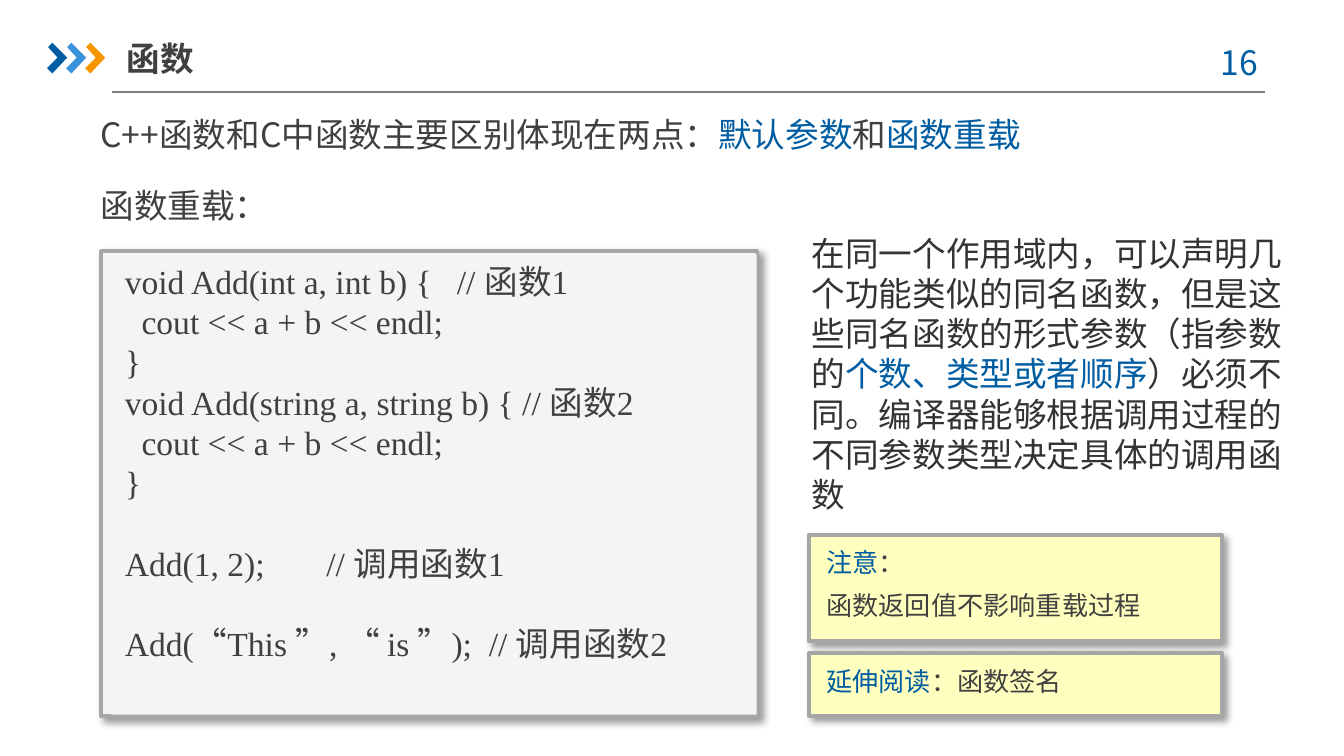
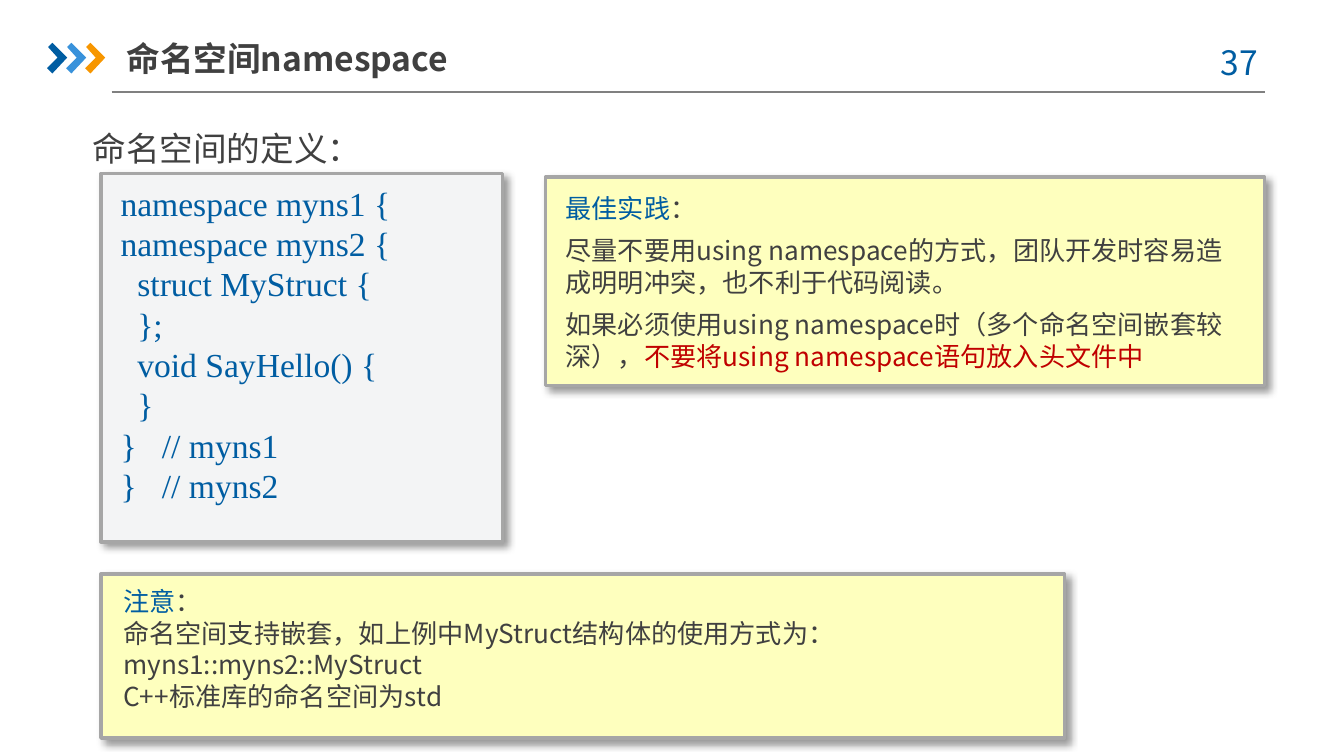
from lxml import etree
from pptx import Presentation
from pptx import util as u
from pptx.dml.color import RGBColor
from pptx.enum import shapes, text
from pptx.oxml import ns

BLUE = RGBColor(0x00, 0x5D, 0xA2)
SKY = RGBColor(0x39, 0x92, 0xDB)
ORANGE = RGBColor(0xF7, 0x96, 0x00)
RED = RGBColor(0xC0, 0x00, 0x00)
INK = RGBColor(0x40, 0x40, 0x40)
BODY = RGBColor(0x33, 0x33, 0x33)
RULE = RGBColor(0x80, 0x80, 0x80)
BORDER = RGBColor(0xA6, 0xA6, 0xA6)
CODE_FILL = RGBColor(0xF3, 0xF4, 0xF5)
NOTE_FILL = RGBColor(0xFE, 0xFF, 0xBE)

SANS = "Noto Sans CJK SC"
SERIF = "Times New Roman"
CHEVRON = [(0.02, 0.08), (0.1, 0), (0.38, 0.28), (0.1, 0.58), (0, 0.48), (0.2, 0.28)]
BLANK_LINE = 21.6

OVERLOAD_CODE = """void Add(int a, int b) {   // 函数1
  cout << a + b << endl;
}
void Add(string a, string b) { // 函数2
  cout << a + b << endl;
}

Add(1, 2);\t// 调用函数1

Add(“This ”, “ is ”);  // 调用函数2"""

NAMESPACE_CODE = """namespace myns1 {
namespace myns2 {
  struct MyStruct {
  };
  void SayHello() {
  }
}   // myns1
}   // myns2"""


def lengths(values):
    return [u.Cm(value) for value in values]


def add_effects(shape, shadow=False):
    effects = etree.SubElement(shape._element.spPr, ns.qn("a:effectLst"))
    if shadow:
        outer = etree.SubElement(effects, ns.qn("a:outerShdw"), blurRad=str(u.Pt(4)),
                                 dist=str(u.Pt(3)), dir="2700000", algn="tl", rotWithShape="0")
        tint = etree.SubElement(outer, ns.qn("a:srgbClr"), val="000000")
        etree.SubElement(tint, ns.qn("a:alpha"), val="40000")


def add_span(para, words, colour, size, font, bold):
    span = para.add_run()
    span.text = words
    span.font.size = u.Pt(size)
    span.font.name = font
    span.font.bold = bold
    span.font.color.rgb = colour
    east_asian = etree.SubElement(span._r.get_or_add_rPr(), ns.qn("a:ea"))
    east_asian.set("typeface", SANS)


def write(box, paragraphs, size=18, font=SANS, bold=False, after=0):
    frame = box.text_frame
    frame.word_wrap = True
    frame.vertical_anchor = text.MSO_ANCHOR.TOP
    for index, spans in enumerate(paragraphs):
        para = frame.paragraphs[0] if index == 0 else frame.add_paragraph()
        para.alignment = text.PP_ALIGN.LEFT
        para.space_after = u.Pt(after)
        for words, colour in spans:
            add_span(para, words, colour, size, font, bold)
    return frame


def add_text(page, place, spans, bold=False):
    box = page.shapes.add_textbox(*lengths(place))
    return write(box, [spans], bold=bold)


def add_rectangle(parent, place, fill):
    box = parent.shapes.add_shape(shapes.MSO_SHAPE.RECTANGLE, *lengths(place))
    box.fill.solid()
    box.fill.fore_color.rgb = fill
    return box


def add_panel(page, outer, inner, fill):
    group = page.shapes.add_group_shape()
    border = add_rectangle(group, outer, fill)
    border.line.color.rgb = BORDER
    border.line.width = u.Pt(2)
    add_effects(border, shadow=True)
    box = add_rectangle(group, inner, fill)
    box.line.fill.background()
    box.shadow.inherit = False
    return box


def add_code(page, outer, inner, code, colour):
    box = add_panel(page, outer, inner, CODE_FILL)
    lines = code.split("\n")
    frame = write(box, [[(line, colour)] for line in lines if line], font=SERIF)
    starts = [index for index, line in enumerate(lines) if line]
    for para, index in zip(frame.paragraphs, starts):
        if index and not lines[index - 1]:
            para.space_before = u.Pt(BLANK_LINE)


def add_note(page, outer, inner, paragraphs, after=6):
    box = add_panel(page, outer, inner, NOTE_FILL)
    write(box, paragraphs, size=14, after=after)


def add_chevrons(page):
    group = page.shapes.add_group_shape()
    for index, colour in enumerate((BLUE, SKY, ORANGE)):
        left = 0.89 + 0.36 * index
        points = [(u.Cm(left + x), u.Cm(0.81 + y)) for x, y in CHEVRON]
        builder = group.shapes.build_freeform(*points[0])
        builder.add_line_segments(points[1:], close=True)
        chevron = builder.convert_to_shape()
        chevron.fill.solid()
        chevron.fill.fore_color.rgb = colour
        chevron.line.fill.background()
        chevron.shadow.inherit = False


def add_page(deck, title, number):
    page = deck.slides.add_slide(deck.slide_layouts[6])
    rule = page.shapes.add_connector(shapes.MSO_CONNECTOR.STRAIGHT,
                                     *lengths((2.11, 1.74, 23.9, 1.74)))
    rule.line.color.rgb = RULE
    rule.line.width = u.Pt(0.75)
    add_effects(rule)
    add_chevrons(page)
    counter = add_text(page, (22.5, 0.66, 1.85, 1.02), [(number, BLUE)])
    counter.paragraphs[0].alignment = text.PP_ALIGN.CENTER
    heading = add_text(page, (2.39, 0.56, 8.13, 1.07), [(title, INK)], bold=True)
    heading.vertical_anchor = text.MSO_ANCHOR.MIDDLE
    heading.margin_left = heading.margin_right = 0
    return page


def add_overload_page(deck):
    page = add_page(deck, "函数", "16")
    add_text(page, (1.65, 2.03, 21.87, 1.02), [
        ("C++函数和C中函数主要区别体现在两点：", INK), ("默认参数", BLUE),
        ("和", INK), ("函数重载", BLUE)])
    add_text(page, (1.65, 3.38, 21.87, 1.02), [("函数重载：", INK)])
    add_code(page, (1.91, 4.75, 12.4, 8.79), (2.11, 4.8, 12.19, 8.71), OVERLOAD_CODE, INK)
    add_text(page, (15.09, 4.27, 9.4, 5.64), [
        ("在同一个作用域内，可以声明几个功能类似的同名函数，但是这些同名函数的形式参数（指参数的", BODY),
        ("个数、类型或者顺序", BLUE),
        ("）必须不同。编译器能够根据调用过程的不同参数类型决定具体的调用函数", BODY)])
    add_note(page, (15.29, 10.11, 7.8, 2.01), (15.37, 10.21, 7.54, 1.68), [
        [("注意", BLUE), ("：", INK)],
        [("函数返回值不影响重载过程", INK)]])
    add_note(page, (15.29, 12.34, 7.8, 1.19), (15.37, 12.45, 7.54, 0.86), [
        [("延伸阅读", BLUE), ("：函数签名", INK)]])


def add_namespace_page(deck):
    page = add_page(deck, "命名空间namespace", "37")
    topic = add_text(page, (1.5, 1.91, 21.79, 2.44), [("命名空间的定义：", INK)])
    topic.paragraphs[0].line_spacing = 1.5
    add_code(page, (1.91, 3.28, 7.59, 6.96), (2.03, 3.33, 7.34, 6.4), NAMESPACE_CODE, BLUE)
    add_note(page, (1.91, 10.85, 18.21, 3.1), (2.08, 10.95, 17.63, 2.64), [
        [("注意", BLUE), ("：", INK)],
        [("命名空间支持嵌套，如上例中MyStruct结构体的使用方式为：", INK)],
        [("myns1::myns2::MyStruct", INK)],
        [("C++标准库的命名空间为std", INK)]], after=0)
    add_note(page, (10.31, 3.35, 13.59, 3.94), (10.44, 3.51, 13.16, 3.68), [
        [("最佳实践", BLUE), ("：", INK)],
        [("尽量不要用using namespace的方式，团队开发时容易造成明明冲突，也不利于代码阅读。", INK)],
        [("如果必须使用using namespace时（多个命名空间嵌套较深），", INK),
         ("不要将using namespace语句放入头文件中", RED)]])


def main():
    deck = Presentation()
    deck.slide_width, deck.slide_height = lengths((25.4, 14.29))
    add_overload_page(deck)
    add_namespace_page(deck)
    deck.save("out.pptx")


if __name__ == "__main__":
    main()
